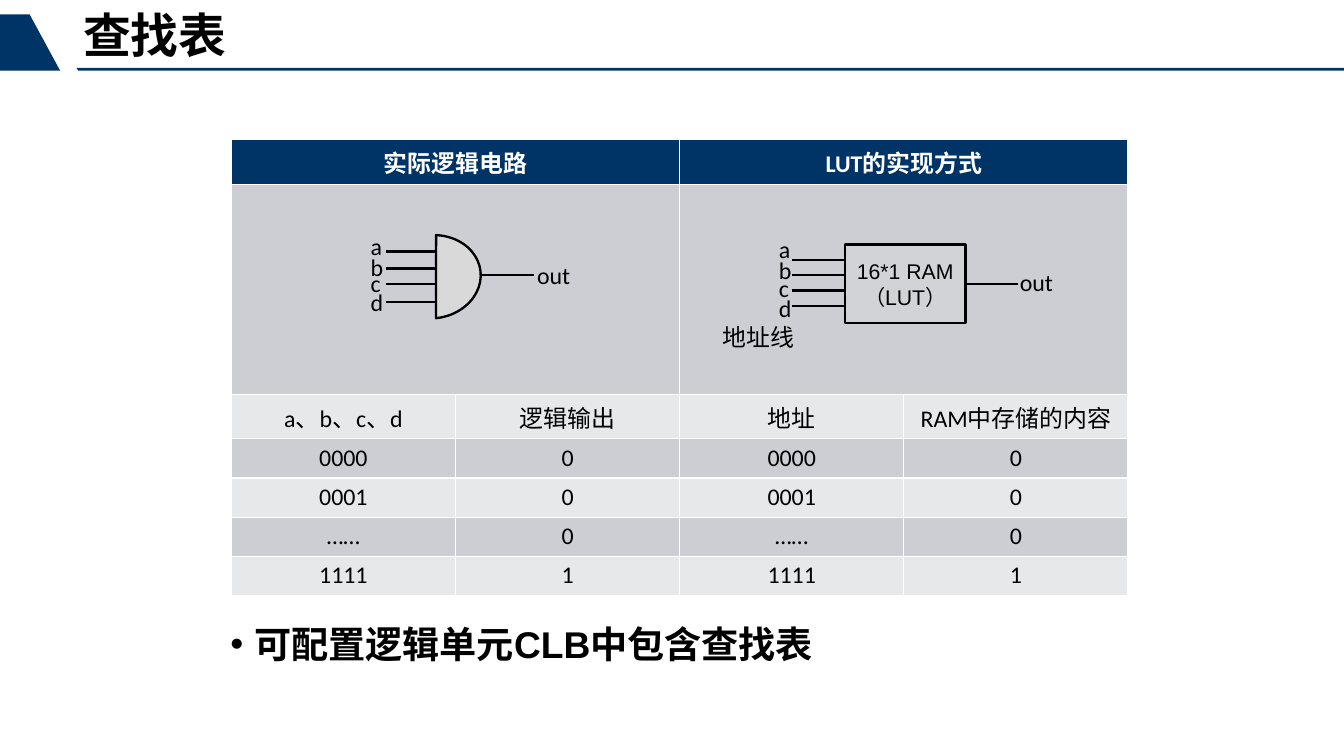
import pptx
import pptx.util
import pptx.dml.color
import pptx.enum.shapes
import pptx.enum.text
import pptx.oxml.ns
from lxml import etree

Inches, Pt = pptx.util.Inches, pptx.util.Pt
RGBColor = pptx.dml.color.RGBColor
SHAPE = pptx.enum.shapes.MSO_SHAPE
ALIGN = pptx.enum.text.PP_ALIGN
ANCHOR = pptx.enum.text.MSO_ANCHOR
AUTO_SIZE = pptx.enum.text.MSO_AUTO_SIZE
qn = pptx.oxml.ns.qn

NAVY = RGBColor(0x00, 0x33, 0x66)
WHITE = RGBColor(0xFF, 0xFF, 0xFF)
BLACK = RGBColor(0x00, 0x00, 0x00)
GATE_GREY = RGBColor(0xD9, 0xD9, 0xD9)
BAND_DARK = RGBColor(0xCC, 0xCE, 0xD3)
BAND_LIGHT = RGBColor(0xE7, 0xE8, 0xEA)

HEADERS = ["实际逻辑电路", "LUT的实现方式"]
TRUTH_ROWS = [
    ["a、b、c、d", "逻辑输出", "地址", "RAM中存储的内容"],
    ["0000", "0", "0000", "0"],
    ["0001", "0", "0001", "0"],
    ["……", "0", "……", "0"],
    ["1111", "1", "1111", "1"],
]


class SlideBuilder:
    heading_font = "Arial"
    text_font = "Calibri"
    line_width = Pt(1.75)

    def __init__(self, slide):
        self.s = slide

    def format_text(self, tf, font, size, color=BLACK, bold=False, align=None):
        for p in tf.paragraphs:
            p.alignment = align
            for r in p.runs:
                r.font.name = font
                r.font.size = Pt(size)
                r.font.bold = bold
                r.font.color.rgb = color

    def placeholder(self, sp, text, left, top, width, height, size):
        sp.left, sp.top = Inches(left), Inches(top)
        sp.width, sp.height = Inches(width), Inches(height)
        tf = sp.text_frame
        tf.text = text
        tf.auto_size = AUTO_SIZE.NONE
        tf.vertical_anchor = ANCHOR.TOP
        self.format_text(tf, self.heading_font, size, bold=True, align=ALIGN.LEFT)
        p = tf.paragraphs[0]
        p.line_spacing = 0.9
        p.space_before = Pt(0)
        return p

    def title(self, text):
        self.placeholder(self.s.shapes.title, text, 0.77, 0.08, 9, 1.25, 36)

    def bullet(self, text):
        p = self.placeholder(self.s.placeholders[1], text, 2.31, 6.5, 9.49, 1.06, 28)
        pPr = p._p.get_or_add_pPr()
        pPr.set("marL", str(Inches(0.25)))
        pPr.set("indent", str(-Inches(0.25)))
        etree.SubElement(pPr, qn("a:buFont")).set("typeface", "Arial")
        etree.SubElement(pPr, qn("a:buChar")).set("char", "•")

    def outline(self, points):
        """Draw a closed navy polygon without a border."""
        corners = [(Inches(x), Inches(y)) for x, y in points]
        builder = self.s.shapes.build_freeform(*corners[0])
        builder.add_line_segments(corners[1:], close=True)
        sp = builder.convert_to_shape()
        sp.shadow.inherit = False
        sp.fill.solid()
        sp.fill.fore_color.rgb = NAVY
        sp.line.fill.background()

    def shape(self, kind, left, top, width, height):
        sp = self.s.shapes.add_shape(
            kind, Inches(left), Inches(top), Inches(width), Inches(height))
        sp.shadow.inherit = False
        sp.fill.solid()
        sp.fill.fore_color.rgb = GATE_GREY
        sp.line.color.rgb = BLACK
        sp.line.width = self.line_width
        return sp

    def wire(self, left, y, length=0.55):
        cx = self.s.shapes.add_connector(
            pptx.enum.shapes.MSO_CONNECTOR.STRAIGHT,
            Inches(left), Inches(y), Inches(left + length), Inches(y))
        cx.line.color.rgb = BLACK
        cx.line.width = self.line_width
        etree.SubElement(cx._element.spPr, qn("a:effectLst"))
        return cx

    def label(self, text, left, top, width=0.33):
        tf = self.s.shapes.add_textbox(
            Inches(left), Inches(top), Inches(width), Inches(0.4)).text_frame
        tf.word_wrap = False
        tf.auto_size = AUTO_SIZE.SHAPE_TO_FIT_TEXT
        tf.text = text
        self.format_text(tf, self.text_font, 18)

    def inputs(self, wire_left, wire_tops, label_left, label_tops):
        for name, wire_y, label_y in zip("abcd", wire_tops, label_tops):
            self.wire(wire_left, wire_y)
            self.label(name, label_left, label_y)

    def cell(self, cell, text, fill, color=BLACK, bold=False):
        cell.fill.solid()
        cell.fill.fore_color.rgb = fill
        cell.text = text
        self.format_text(cell.text_frame, self.text_font, 18, color, bold, ALIGN.CENTER)

    def table(self, left, top, width, row_heights):
        table = self.s.shapes.add_table(
            len(row_heights), 4, Inches(left), Inches(top),
            Inches(width), Inches(sum(row_heights))).table
        for row, height in zip(table.rows, row_heights):
            row.height = Inches(height)
        for i, header in enumerate(HEADERS):
            for row in (0, 1):
                table.cell(row, 2 * i).merge(table.cell(row, 2 * i + 1))
            self.cell(table.cell(0, 2 * i), header, NAVY, WHITE, True)
            self.cell(table.cell(1, 2 * i), "", BAND_DARK)
        for i, values in enumerate(TRUTH_ROWS):
            band = BAND_DARK if i % 2 else BAND_LIGHT
            for col, value in enumerate(values):
                self.cell(table.cell(i + 2, col), value, band)

    def and_gate(self):
        self.wire(5.04, 2.88)
        self.inputs(4.04, [2.63, 2.81, 2.97, 3.16], 3.78, [2.37, 2.59, 2.76, 2.96])
        gate = self.shape(SHAPE.CHORD, 4.01, 2.46, 1.02, 0.87)
        gate.adjustments[0] = 61.27
        gate.adjustments[1] = 162.78
        gate.rotation = 173.4
        self.label("out", 5.52, 2.68, 0.55)

    def lut(self):
        ram = self.shape(SHAPE.RECTANGLE, 8.84, 2.56, 1.26, 0.82)
        color = ram.fill._xPr.find(qn("a:solidFill"))[0]
        etree.SubElement(color, qn("a:alpha")).set("val", "50000")
        tf = ram.text_frame
        tf.text = "16*1 RAM\n（LUT）"
        tf.vertical_anchor = ANCHOR.MIDDLE
        self.format_text(tf, self.heading_font, 16, align=ALIGN.CENTER)
        self.inputs(8.29, [2.72 + 0.16 * i for i in range(4)],
                    8.05, [2.41, 2.63, 2.81, 3.02])
        self.wire(10.1, 2.97).begin_connect(ram, 3)
        self.label("out", 10.57, 2.75, 0.55)
        self.label("地址线", 7.46, 3.33, 0.96)


def main():
    prs = pptx.Presentation()
    prs.slide_width, prs.slide_height = Inches(14.06), Inches(7.91)
    b = SlideBuilder(prs.slides.add_slide(prs.slide_layouts[1]))
    b.bullet("可配置逻辑单元CLB中包含查找表")
    b.outline([(0.8, 0.71), (14.06, 0.71), (14.06, 0.74), (0.82, 0.74)])
    b.outline([(0.31, 0.15), (0.63, 0.74), (0, 0.74), (0, 0.15)])
    b.title("查找表")
    b.table(2.42, 1.46, 9.38, [0.47, 2.2] + [0.41] * 5)
    b.lut()
    b.and_gate()
    prs.save("out.pptx")


if __name__ == "__main__":
    main()
